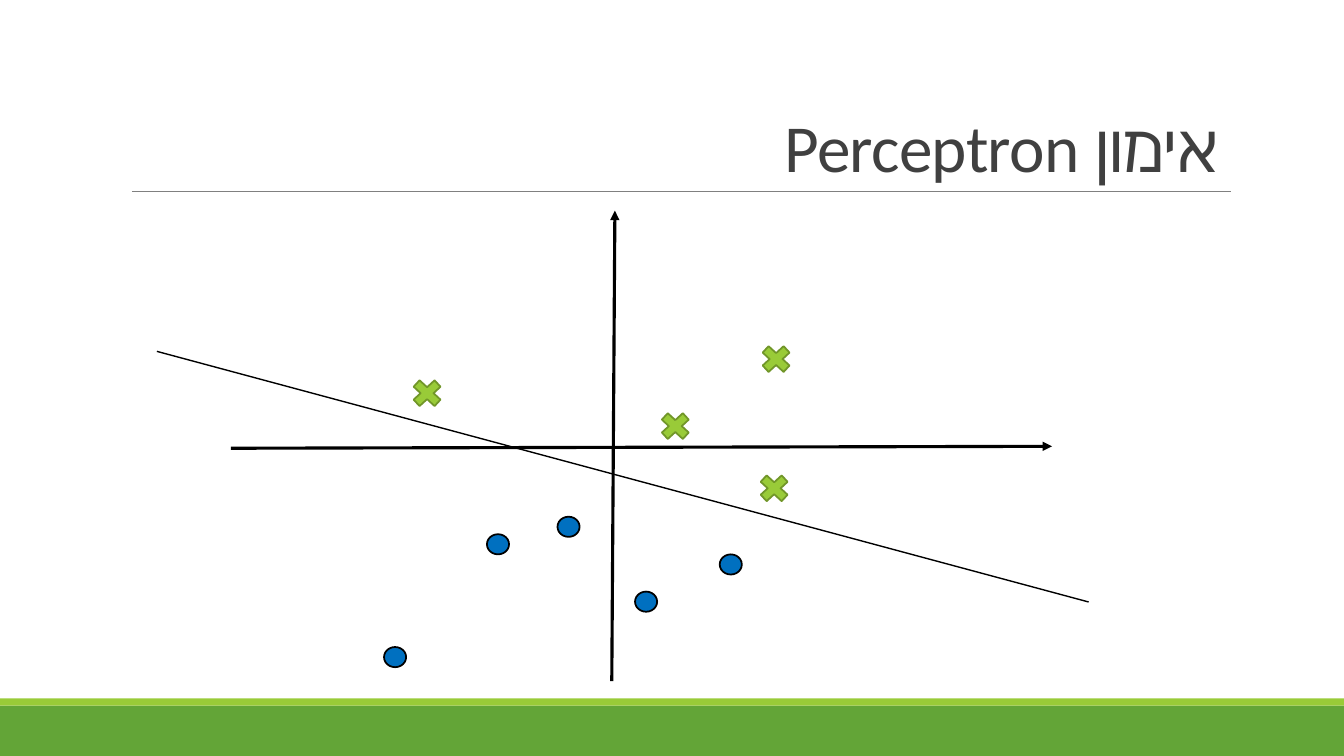
"""Build the slide on training a perceptron: axes, two classes and a separating line."""
from typing import Any, NamedTuple

from lxml.etree import SubElement
from pptx import Presentation
from pptx.dml.color import RGBColor
from pptx.enum.shapes import MSO_CONNECTOR as Connector, MSO_SHAPE as Preset
from pptx.enum.text import MSO_ANCHOR as Anchor, MSO_AUTO_SIZE as AutoSize, PP_ALIGN as Align
from pptx.oxml.ns import qn
from pptx.util import Pt


class Block(NamedTuple):
    preset: Any
    left: float
    top: float
    width: float
    height: float
    fill: str
    border: str = ""


class Stroke(NamedTuple):
    x1: float
    y1: float
    x2: float
    y2: float
    color: str
    weight: float
    arrow: bool = False


def paint(target: Any, color: str) -> None:
    if hasattr(target, "solid"):
        target.solid()
        target = target.fore_color
    target.rgb = RGBColor.from_string(color)


def apply(target: Any, values: dict[str, Any]) -> None:
    for attribute, value in values.items():
        setattr(target, attribute, value)


def draw_block(slide: Any, block: Block) -> None:
    bounds = map(Pt, (block.left, block.top, block.width, block.height))
    shape = slide.shapes.add_shape(block.preset, *bounds)
    shape.shadow.inherit = False
    paint(shape.fill, block.fill)
    if block.border:
        paint(shape.line.fill, block.border)
        shape.line.width = Pt(1.25)
    else:
        shape.line.fill.background()


def draw_stroke(slide: Any, stroke: Stroke) -> None:
    ends = map(Pt, (stroke.x1, stroke.y1, stroke.x2, stroke.y2))
    connector = slide.shapes.add_connector(Connector.STRAIGHT, *ends)
    paint(connector.line.fill, stroke.color)
    connector.line.width = Pt(stroke.weight)
    properties = connector._element.spPr
    if stroke.arrow:
        SubElement(properties.find(qn("a:ln")), qn("a:tailEnd"), type="triangle")
    SubElement(properties, qn("a:effectLst"))


def write_title(slide: Any, wording: str) -> None:
    title = slide.shapes.title
    apply(title, {"left": Pt(86.4), "top": Pt(22.3), "width": Pt(792), "height": Pt(114.5)})
    frame = title.text_frame
    frame.text = wording
    apply(frame, {"vertical_anchor": Anchor.BOTTOM, "word_wrap": True, "auto_size": AutoSize.NONE})
    heading = frame.paragraphs[0]
    apply(heading, {"alignment": Align.RIGHT, "line_spacing": 0.85})
    heading._p.get_or_add_pPr().set("rtl", "1")
    run = heading.runs[0]
    apply(run.font, {"name": "Calibri", "size": Pt(48)})
    paint(run.font.color, "404040")
    run._r.get_or_add_rPr().set("spc", "-50")


FOOTER_BANDS = [
    Block(Preset.RECTANGLE, 0, 504, 960, 36, "63A537"),
    Block(Preset.RECTANGLE, 0, 498.8, 960, 5.2, "99CB38"),
]
TITLE_RULE = Stroke(94.3, 136.8, 879.1, 136.8, "808080", 0.5)
AXES = [
    Stroke(164.9, 320.2, 751.5, 318.8, "000000", 2.25, True),
    Stroke(437, 486.6, 439.2, 150.5, "000000", 2.25, True),
]
POSITIVES = [(540, 243.2), (538.6, 335.5), (290.7, 267.6), (468, 291.1)]
NEGATIVES = [(347.8, 381.6), (514.1, 396), (398.2, 369.1), (274.3, 462.2), (453.6, 422.6)]
SEPARATOR = Stroke(112.1, 251, 777.6, 430, "000000", 1)


def main() -> None:
    presentation = Presentation()
    apply(presentation, {"slide_width": Pt(960), "slide_height": Pt(540)})
    slide = presentation.slides.add_slide(presentation.slide_layouts[5])
    paint(slide.background.fill, "FFFFFF")
    for band in FOOTER_BANDS:
        draw_block(slide, band)
    write_title(slide, "אימון Perceptron")
    for stroke in (TITLE_RULE, *AXES):
        draw_stroke(slide, stroke)
    for left, top in POSITIVES:
        draw_block(slide, Block(Preset.MATH_MULTIPLY, left, top, 28.8, 26.6, "99CB38", "719629"))
    for left, top in NEGATIVES:
        draw_block(slide, Block(Preset.OVAL, left, top, 15.8, 14.4, "0070C0", "000000"))
    draw_stroke(slide, SEPARATOR)
    presentation.save("out.pptx")


if __name__ == "__main__":
    main()
